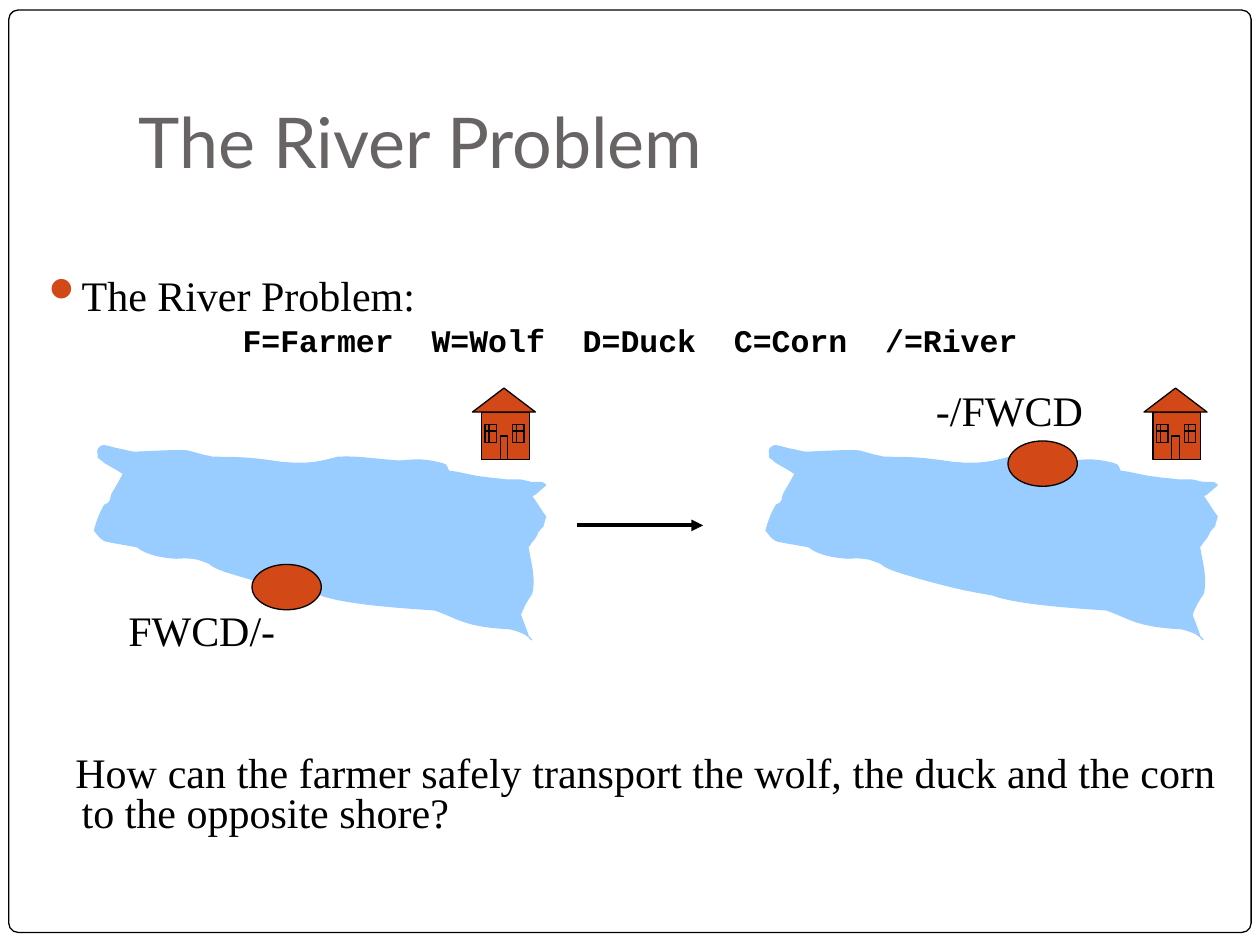
from pptx import Presentation
from pptx.util import Inches, Pt
from pptx.dml.color import RGBColor as RGB
from pptx.enum.shapes import MSO_SHAPE as Shape, MSO_CONNECTOR as Link
from pptx.enum.text import PP_ALIGN as Align, MSO_ANCHOR as Anchor
from pptx.oxml.ns import qn
from lxml.etree import SubElement as Sub

COLORS = {"ink": "000000", "title": "696464", "red": "D34817",
          "water": "99CCFF", "paper": "FFFFFF"}
SERIF, MONO = "Times New Roman", "Courier New"
KEYS = ["F=Farmer", "W=Wolf", "D=Duck", "C=Corn", "/=River"]
ASK = ("How can the farmer safely transport the wolf, the duck and the corn "
       "to the opposite shore?")
LABELS = [("FWCD/-", 0.92, 4.75), ("-/FWCD", 7.33, 3)]
BOATS = [(2, 4.48), (8, 3.5)]
STEP = 5.33
START = (4.22, 5.08)
CURVES = [
    (4.19, 5.04, 4.16, 5.02, 4.05, 4.99), (3.68, 4.97, 3.65, 4.91, 3.45, 4.84),
    (3.14, 4.82, 2.73, 4.79, 2.54, 4.72), (2.3, 4.68, 2.15, 4.64, 1.97, 4.59),
    (1.84, 4.55, 1.71, 4.52, 1.66, 4.47), (1.58, 4.44, 1.55, 4.42, 1.4, 4.43),
    (1.23, 4.42, 1.14, 4.38, 1.09, 4.34), (1.05, 4.33, 0.85, 4.3, 0.83, 4.29),
    (0.79, 4.27, 0.77, 4.23, 0.75, 4.21), (0.77, 4.14, 0.79, 4.08, 0.83, 4.01),
    (0.9, 3.98, 0.87, 3.96, 0.89, 3.92), (0.92, 3.87, 0.95, 3.82, 0.98, 3.76),
    (0.94, 3.73, 0.88, 3.7, 0.83, 3.67), (0.81, 3.65, 0.78, 3.63, 0.78, 3.63),
    (0.79, 3.6, 0.75, 3.57, 0.81, 3.54), (0.82, 3.53, 0.88, 3.55, 0.92, 3.56),
    (0.97, 3.57, 1.01, 3.58, 1.06, 3.59), (1.11, 3.59, 1.41, 3.57, 1.49, 3.58),
    (1.53, 3.59, 1.56, 3.6, 1.6, 3.61), (1.63, 3.62, 1.66, 3.62, 1.69, 3.63),
    (1.95, 3.63, 2.02, 3.64, 2.23, 3.67), (2.44, 3.69, 2.53, 3.67, 2.68, 3.63),
    (2.84, 3.62, 3, 3.65, 3.17, 3.66), (3.31, 3.65, 3.35, 3.64, 3.51, 3.68),
    (3.56, 3.69, 3.54, 3.72, 3.56, 3.74), (3.66, 3.75, 3.74, 3.78, 3.85, 3.79),
    (3.9, 3.8, 3.96, 3.8, 4.02, 3.81), (4.06, 3.81, 4.1, 3.81, 4.13, 3.81),
    (4.16, 3.82, 4.19, 3.82, 4.22, 3.83), (4.24, 3.83, 4.28, 3.83, 4.3, 3.83),
    (4.33, 3.84, 4.32, 3.85, 4.33, 3.85), (4.32, 3.86, 4.27, 3.9, 4.25, 3.92),
    (4.24, 3.92, 4.22, 3.94, 4.22, 3.94), (4.26, 3.99, 4.29, 4.05, 4.33, 4.1),
    (4.29, 4.23, 4.33, 4.14, 4.27, 4.22), (4.26, 4.25, 4.24, 4.28, 4.22, 4.3),
    (4.21, 4.32, 4.19, 4.34, 4.19, 4.34), (4.21, 4.47, 4.25, 4.59, 4.22, 4.71),
    (4.18, 4.77, 4.15, 4.82, 4.13, 4.88), (4.15, 4.93, 4.19, 5.04, 4.19, 5.04),
]

deck = Presentation()
deck.slide_width, deck.slide_height = Inches(10), Inches(7.5)
slide = deck.slides.add_slide(deck.slide_layouts[5])
shapes = slide.shapes


def color(name):
    return RGB.from_string(COLORS[name])


def paint(shape, fill, line="ink"):
    shape.shadow.inherit = False
    shape.fill.solid()
    shape.fill.fore_color.rgb = color(fill)
    shape.line.color.rgb = color(line)
    shape.line.width = Pt(0.75)
    return shape


def block(kind, x, y, w, h, fill="red"):
    return paint(shapes.add_shape(kind, *map(Inches, (x, y, w, h))), fill)


def stroke(x1, y1, x2, y2, width=0.75, arrow=False):
    line = shapes.add_connector(Link.STRAIGHT, *map(Inches, (x1, y1, x2, y2)))
    line.line.color.rgb = color("ink")
    line.line.width = Pt(width)
    if arrow:
        Sub(line.line._get_or_add_ln(), qn("a:tailEnd"), type="triangle")
    Sub(line.element.spPr, qn("a:effectLst"))


def place(box, x, y, w, h, anchor=Anchor.TOP, foot=0.05):
    box.left, box.top, box.width, box.height = map(Inches, (x, y, w, h))
    frame = box.text_frame
    frame.word_wrap = True
    frame.vertical_anchor = anchor
    frame.margin_left = frame.margin_right = Inches(0.1)
    frame.margin_top, frame.margin_bottom = Inches(0.05), Inches(foot)
    return frame


def write(par, text, size=24, font=SERIF, ink="ink", bold=False,
          align=Align.LEFT, lead=None, before=0, left=0, first=0,
          bullet=None, gap=0):
    par.alignment = align
    if lead:
        par.line_spacing = lead
    if before:
        par.space_before = Pt(before)
    props = par._p.get_or_add_pPr()
    props.set("marL", str(Inches(left)))
    props.set("indent", str(Inches(first)))
    if bullet:
        Sub(Sub(props, qn("a:buClr")), qn("a:srgbClr"), val=COLORS["red"])
        Sub(props, qn("a:buChar"), char=bullet)
    words = text.replace(" ", "| |").split("|") if gap else [text]
    for word in words:
        run = par.add_run()
        run.text = word
        face = run.font
        face.size, face.name, face.bold = Pt(size), font, bold
        face.color.rgb = color(ink)
        if word == " ":
            run._r.get_or_add_rPr().set("spc", str(int(gap * 100)))


def river(dx):
    pts = [(c[i] + dx, c[i + 1]) for c in CURVES for i in (0, 2, 4)]
    form = shapes.build_freeform(Inches(START[0] + dx), Inches(START[1]))
    form.add_line_segments([tuple(map(Inches, p)) for p in pts], close=False)
    shape = paint(form.convert_to_shape(), "water", "water")
    legs = list(shape.element.iter(qn("a:lnTo")))
    for i in range(0, len(legs), 3):
        curve = Sub(legs[i].getparent(), qn("a:cubicBezTo"))
        for leg in legs[i:i + 3]:
            curve.append(leg[0])
            leg.getparent().remove(leg)


def house(x):
    block(Shape.RECTANGLE, x + 0.07, 3.27, 0.38, 0.38)
    block(Shape.RECTANGLE, x + 0.22, 3.46, 0.06, 0.19)
    for pane in (x + 0.32, x + 0.1):
        block(Shape.RECTANGLE, pane, 3.37, 0.09, 0.14)
        stroke(pane + 0.03, 3.37, pane + 0.03, 3.51)
        stroke(pane, 3.42, pane + 0.09, 3.42)
    block(Shape.FLOWCHART_EXTRACT, x, 3.08, 0.5, 0.19)


def label(x, y, w, h):
    return place(shapes.add_textbox(0, 0, 0, 0), x, y, w, h)


title = shapes.title
edge = block(Shape.ROUNDED_RECTANGLE, 0.07, 0.08, 9.86, 7.32, "paper")
edge.adjustments[0] = 0.01
title.element.addprevious(edge.element)
head = place(title, 1, 0.3, 8.5, 1.25, anchor=Anchor.BOTTOM, foot=0.1)
write(head.paragraphs[0], "The River Problem", size=40, font="Lato", ink="title")

body = label(0.25, 2.17, 9.5, 4.83)
write(body.paragraphs[0], "The River Problem:", lead=0.8, left=0.3,
      first=-0.3, bullet="⚫")
write(body.add_paragraph(), " ".join(KEYS), size=18, font=MONO, bold=True,
      align=Align.CENTER, lead=0.8, before=5, left=0.3, first=-0.3, gap=10.8)
write(body.add_paragraph(), ASK, align=Align.JUSTIFY, lead=0.8, before=227,
      left=0.3, first=-0.05)

for dx in (0, STEP):
    river(dx)
    house(3.75 + dx)
for text, x, y in LABELS:
    write(label(x, y, 1.37, 0.5).paragraphs[0], text)
for x, y in BOATS:
    block(Shape.OVAL, x, y, 0.55, 0.36)
stroke(4.58, 4.17, 5.58, 4.17, width=2.25, arrow=True)

deck.save("out.pptx")
